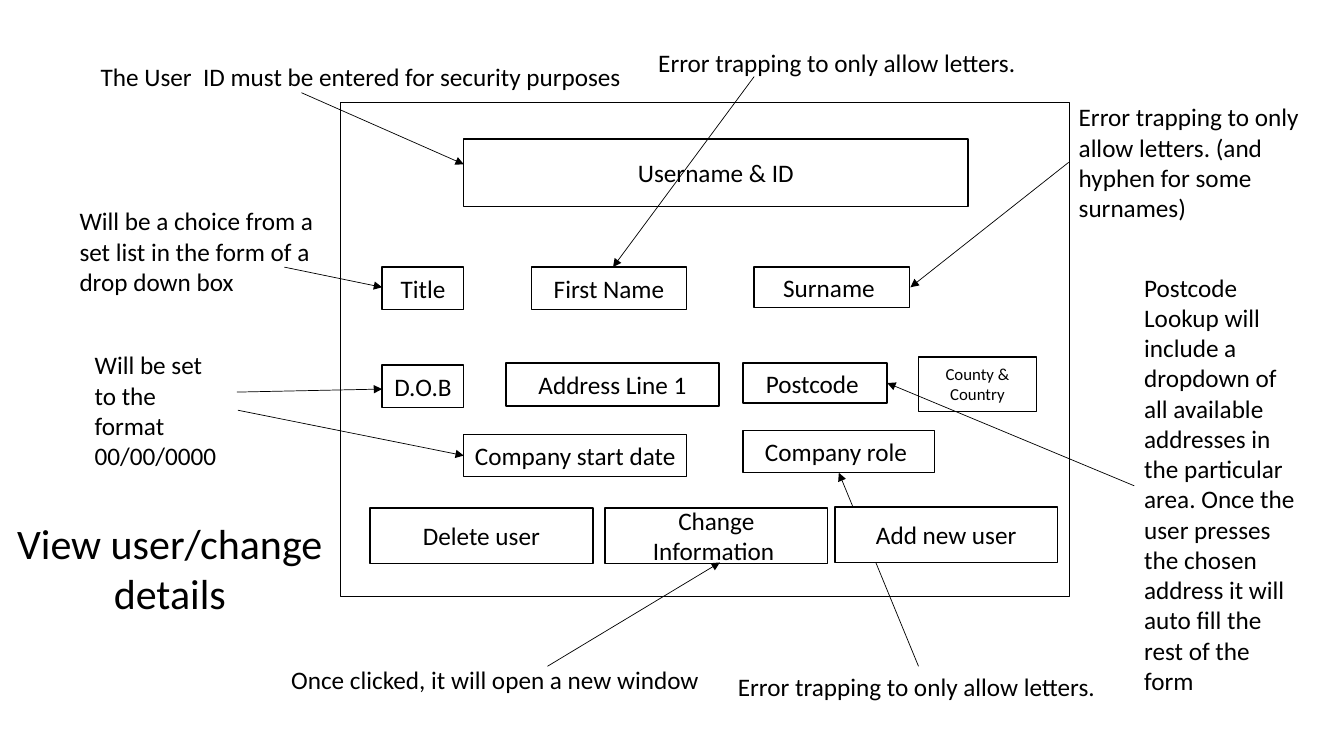
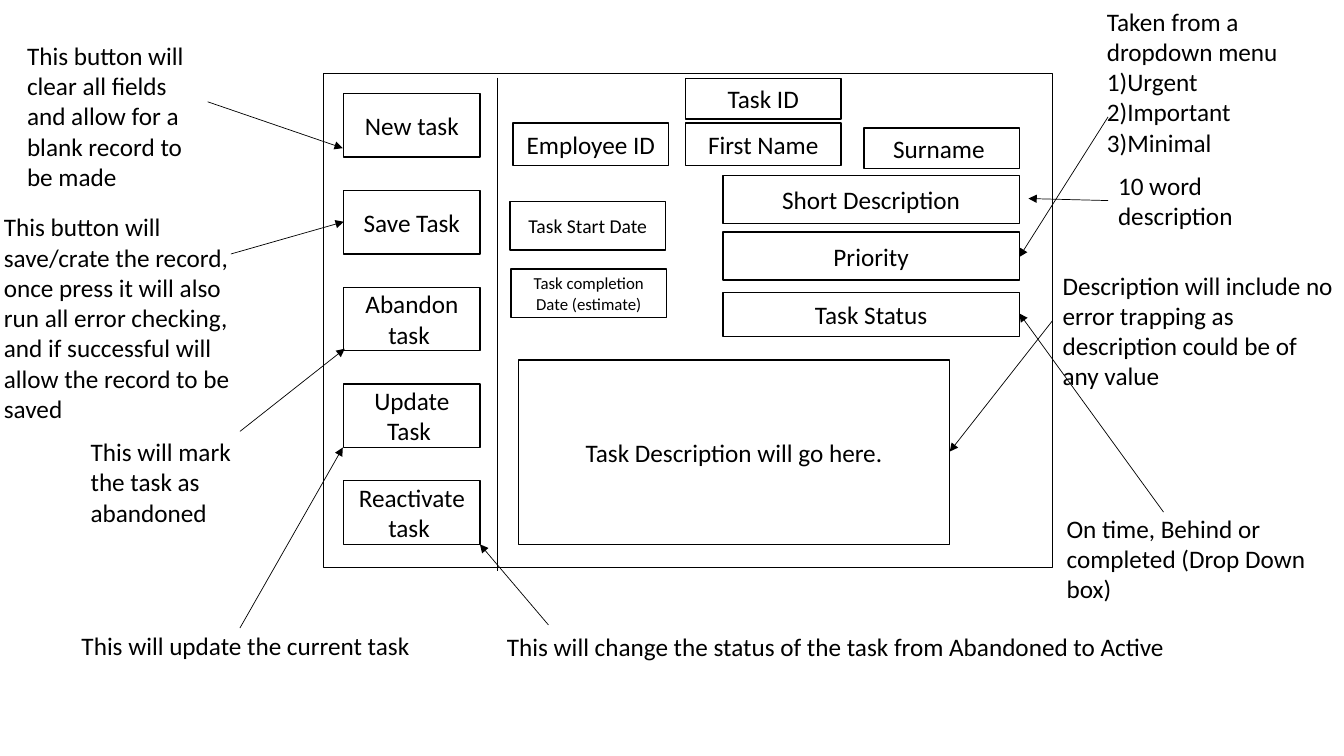
from typing import NamedTuple

from pptx import Presentation
from pptx import util as u
from pptx.dml.color import RGBColor
from pptx.enum import shapes, text
from pptx.oxml import ns
from lxml import etree

# Shared style
COLORS = {"ink": "000000", "paper": "FFFFFF"}
FONT = "Calibri"
BODY_PT, TITLE_PT = 18, 30
BOX_LINE_PT, ARROW_LINE_PT = 1, 0.5
FRAME_SIZE = (7.23, 4.9)


class Box(NamedTuple):
    label: str
    left: float
    top: float
    width: float
    height: float
    size: float = BODY_PT


class Note(NamedTuple):
    lines: tuple[str, ...]
    left: float
    top: float
    width: float
    height: float
    wrap: bool = True


class Arrow(NamedTuple):
    x1: float
    y1: float
    x2: float
    y2: float
    head: bool = True


def color(name: str) -> RGBColor:
    return RGBColor.from_string(COLORS[name])


def inches(*lengths: float) -> list[u.Length]:
    return [u.Inches(length) for length in lengths]


def write(paragraph, words: str, size: float = BODY_PT) -> None:
    run = paragraph.add_run()
    run.text = words
    run.font.name = FONT
    run.font.size = u.Pt(size)
    run.font.color.rgb = color("ink")


def draw_box(slide, box: Box) -> None:
    field = slide.shapes.add_shape(shapes.MSO_SHAPE.RECTANGLE, *inches(*box[1:5]))
    field.shadow.inherit = False
    field.fill.solid()
    field.fill.fore_color.rgb = color("paper")
    field.line.color.rgb = color("ink")
    field.line.width = u.Pt(BOX_LINE_PT)
    if box.label:
        frame = field.text_frame
        frame.word_wrap = True
        frame.vertical_anchor = text.MSO_ANCHOR.MIDDLE
        frame.paragraphs[0].alignment = text.PP_ALIGN.CENTER
        write(frame.paragraphs[0], box.label, box.size)


def draw_note(slide, note: Note) -> None:
    frame = slide.shapes.add_textbox(*inches(*note[1:5])).text_frame
    frame.word_wrap = note.wrap
    frame.auto_size = text.MSO_AUTO_SIZE.SHAPE_TO_FIT_TEXT
    for index, line in enumerate(note.lines):
        paragraph = frame.add_paragraph() if index else frame.paragraphs[0]
        write(paragraph, line)


def draw_arrow(slide, arrow: Arrow) -> None:
    pointer = slide.shapes.add_connector(
        shapes.MSO_CONNECTOR.STRAIGHT, *inches(*arrow[:4]))
    pointer.line.color.rgb = color("ink")
    pointer.line.width = u.Pt(ARROW_LINE_PT)
    properties = pointer.element.spPr
    if arrow.head:
        outline = properties.find(ns.qn("a:ln"))
        etree.SubElement(outline, ns.qn("a:tailEnd"), type="triangle")
    etree.SubElement(properties, ns.qn("a:effectLst"))


def draw_title(slide, words: str, *place: float) -> None:
    title = slide.shapes.title
    title.left, title.top, title.width, title.height = inches(*place)
    frame = title.text_frame
    frame.word_wrap = True
    frame.auto_size = text.MSO_AUTO_SIZE.NONE
    frame.vertical_anchor = text.MSO_ANCHOR.TOP
    frame.paragraphs[0].alignment = text.PP_ALIGN.CENTER
    write(frame.paragraphs[0], words, TITLE_PT)


def draw_form(slide, boxes: list[Box], arrows: list[Arrow],
              notes: list[Note], front: list[Box]) -> None:
    for box in boxes:
        draw_box(slide, box)
    for arrow in arrows:
        draw_arrow(slide, arrow)
    for note in notes:
        draw_note(slide, note)
    for box in front:
        draw_box(slide, box)


deck = Presentation()
deck.slide_width, deck.slide_height = inches(13.33, 7.5)
TITLE_ONLY, BLANK = deck.slide_layouts[5], deck.slide_layouts[6]

# Slide 1: user details form
LETTERS_ONLY = "Error trapping to only allow letters."
ACTION = (2.21, 0.55)
user_boxes = [
    Box("", 3.38, 1.02, *FRAME_SIZE),
    Box("Username & ID", 4.6, 1.38, 5, 0.67),
    Box("Title", 3.79, 2.65, 0.81, 0.42),
    Box("First Name", 5.27, 2.65, 1.54, 0.42),
    Box("Surname ", 7.48, 2.65, 1.54, 0.4),
    Box("D.O.B", 3.79, 3.62, 0.81, 0.42),
    Box("Address Line 1", 5.02, 3.6, 2.11, 0.43),
    Box("Postcode ", 7.37, 3.6, 1.43, 0.4),
    Box("County & Country", 9.11, 3.54, 1.17, 0.54, 12),
    Box("Company start date ", 4.6, 4.31, 2.21, 0.42),
    Box("Company role ", 7.37, 4.27, 1.9, 0.42),
    Box("Change Information ", 6, 5.04, *ACTION),
]
user_front = [
    Box("Delete user", 3.67, 5.04, *ACTION),
    Box("Add new user", 8.28, 5.03, *ACTION),
]
user_arrows = [
    Arrow(2.99, 0.92, 4.6, 1.63),
    Arrow(2.82, 2.65, 3.79, 2.85),
    Arrow(2.35, 3.89, 3.79, 3.86),
    Arrow(2.36, 4.07, 4.6, 4.52),
    Arrow(11.25, 4.82, 8.8, 3.8),
    Arrow(7.48, 0.76, 6.08, 2.65),
    Arrow(10.6, 1.61, 9.03, 2.85),
    Arrow(9.11, 6.61, 8.32, 4.69),
    Arrow(5.43, 6.61, 7.14, 5.58),
]
user_notes = [
    Note(("The User  ID must be entered for security purposes",),
         0.9, 0.56, 5.42, 0.4, False),
    Note(("Will be a choice from a set list in the form of a drop down box",),
         0.69, 1.99, 2.61, 1.01),
    Note(("Will be set to the format 00/00/0000",), 0.84, 3.42, 1.52, 1.31),
    Note(("Postcode Lookup will include a dropdown of all available addresses "
          "in the particular area. Once the user presses the chosen address "
          "it will auto fill the rest of the form",), 11.25, 2.65, 1.76, 4.34),
    Note((LETTERS_ONLY,), 6.43, 0.42, 3.79, 0.4, False),
    Note((LETTERS_ONLY + " (and hyphen for some surnames)",),
         10.6, 0.96, 2.58, 1.31),
    Note((LETTERS_ONLY,), 7.22, 6.61, 3.79, 0.4, False),
    Note(("Once clicked, it will open a new window",),
         2.79, 6.54, 4.36, 0.4, False),
]
user_slide = deck.slides.add_slide(TITLE_ONLY)
draw_title(user_slide, "View user/change details", 0, 5.08, 3.37, 1.11)
draw_form(user_slide, user_boxes, user_arrows, user_notes, user_front)

# Slide 2: task form with a column of evenly spaced buttons
BUTTON_LABELS = ("New task", "Save Task", "Abandon task ", "Update Task ",
                 "Reactivate task ")
BUTTON_TOP, BUTTON_STEP = 0.93, 0.96
task_boxes = [
    Box("", 3.21, 0.73, *FRAME_SIZE),
    Box("Task Description will go here.", 5.14, 3.57, 4.28, 1.83),
    Box("Task ID", 6.8, 0.78, 1.54, 0.4),
    Box("Employee ID", 5.09, 1.22, 1.54, 0.42),
    Box("First Name", 6.8, 1.22, 1.54, 0.42),
    Box("Surname ", 8.57, 1.27, 1.54, 0.4),
    Box("Task Start Date", 5.06, 2, 1.54, 0.48, 14),
    Box("Task completion Date (estimate)", 5.07, 2.67, 1.54, 0.48, 12),
    Box("Short Description", 7.17, 1.74, 2.94, 0.48),
    Box("Priority", 7.17, 2.3, 2.94, 0.48),
    Box("Task Status", 7.17, 2.9, 2.94, 0.44),
] + [
    Box(label, 3.41, BUTTON_TOP + row * BUTTON_STEP, 1.35, 0.63)
    for row, label in enumerate(BUTTON_LABELS)
]
task_arrows = [
    Arrow(4.93, 0.77, 4.93, 5.66, head=False),
    Arrow(2.06, 1.01, 3.4, 1.47),
    Arrow(2.29, 2.52, 3.41, 2.2),
    Arrow(2.38, 4.28, 3.42, 3.46),
    Arrow(2.38, 6.23, 3.4, 4.44),
    Arrow(5.44, 6.2, 4.76, 5.4),
    Arrow(10.44, 3.18, 9.42, 4.48),
    Arrow(10.99, 1.99, 10.2, 1.97),
    Arrow(10.99, 1.16, 10.11, 2.55),
    Arrow(11.54, 5.08, 10.11, 3.11),
]
task_notes = [
    Note(("This button will clear all fields and allow for a blank record "
          "to be made ",), 0.17, 0.35, 1.93, 1.62),
    Note(("This button will save/crate the record, once press it will also "
          "run all error checking, and if successful will allow the record "
          "to be saved ",), -0.06, 2.05, 2.44, 2.22),
    Note(("This will mark the task as abandoned",), 0.8, 4.28, 1.68, 1.01),
    Note(("This will update the current task",), 0.71, 6.2, 3.49, 0.4, False),
    Note(("This will change the status of the task from Abandoned to Active",),
         4.93, 6.21, 6.8, 0.4, False),
    Note(("Description will include no error trapping as description could "
          "be of any value",), 10.44, 2.63, 2.89, 1.31),
    Note(("10 word description",), 10.99, 1.64, 1.42, 0.71),
    Note(("Taken from a dropdown menu", "1)Urgent", "2)Important",
          "3)Minimal "), 10.88, 0.01, 2.17, 1.62),
    Note(("On time, Behind or completed (Drop Down box)",),
         10.48, 5.04, 3.01, 1.01),
]
task_slide = deck.slides.add_slide(BLANK)
draw_form(task_slide, task_boxes, task_arrows, task_notes, [])

deck.save("out.pptx")
